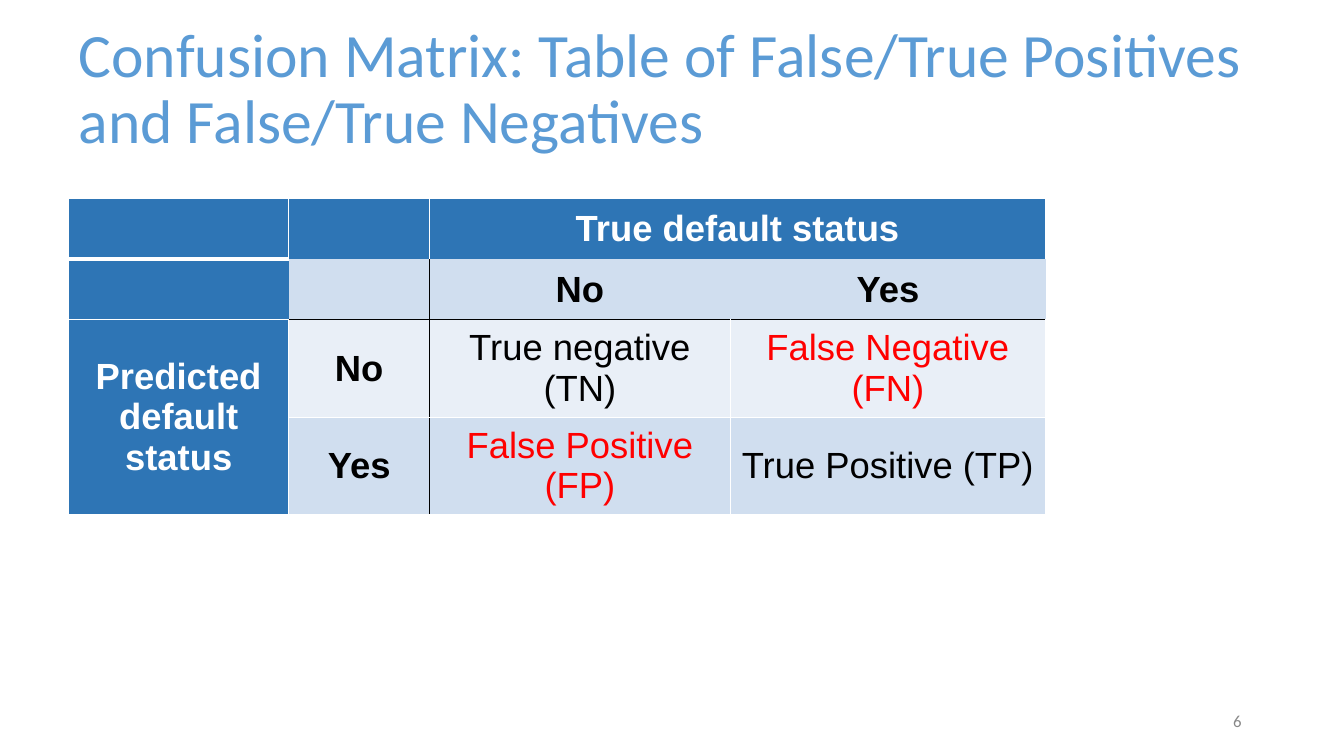
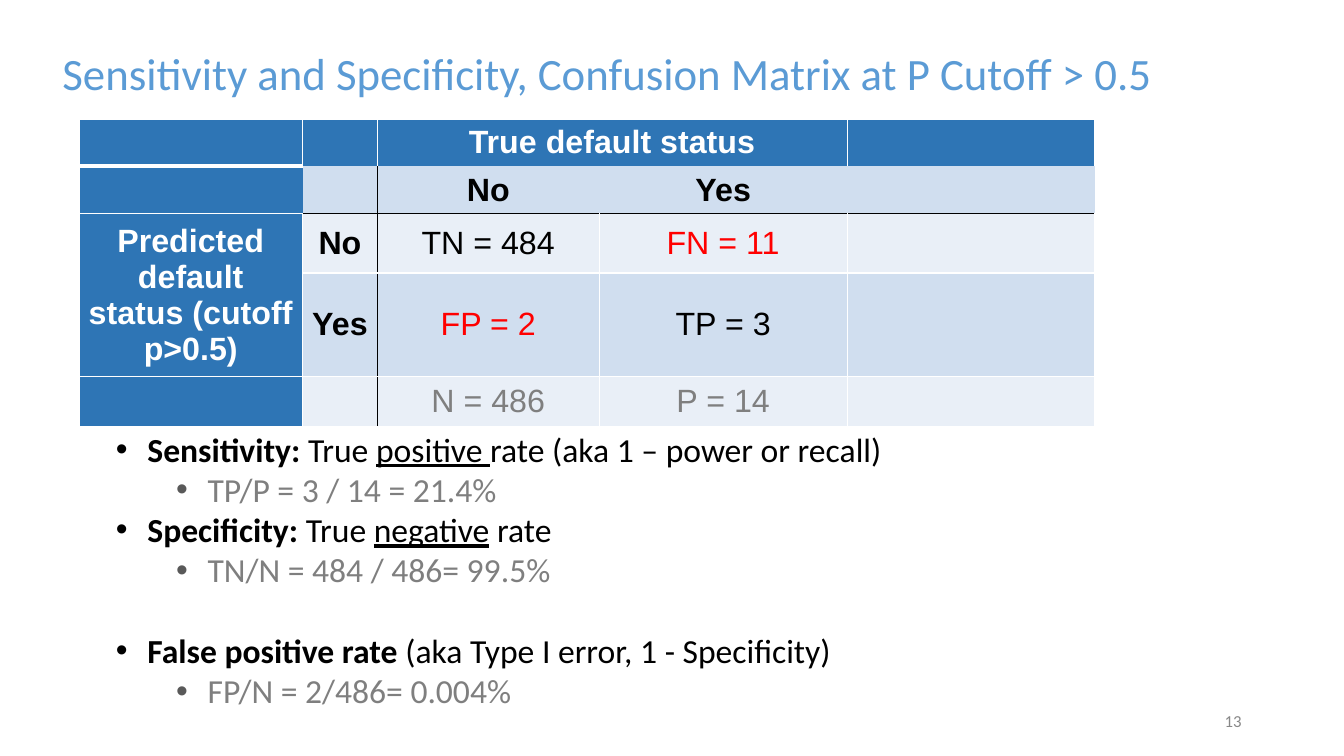
from lxml import etree
from pptx import Presentation
from pptx.dml.color import RGBColor
from pptx.enum.text import MSO_ANCHOR as Anchor, MSO_AUTO_SIZE as Fit, PP_ALIGN as Align
from pptx.oxml.ns import qn
from pptx.util import Pt

BLUE, HEAD, BANDS = "5B9BD5", "2E75B5", ("E9EFF7", "D0DEEF")
WHITE, BLACK, RED = "FFFFFF", "000000", "FF0000"
GRAY, DARK_GRAY, NUMBER_GRAY = "7F7F7F", "595959", "888888"
TEXT_FONT, TABLE_FONT = "Calibri", "Arial"
TITLE_ONLY = 5


def rgb(color):
    return RGBColor.from_string(color)


class Deck:
    """Shared style and the slide being built."""

    def __init__(self):
        self.prs = Presentation()
        self.prs.slide_width, self.prs.slide_height = Pt(960), Pt(540)
        self.s = None

    def style(self, r, size, color, font=TEXT_FONT, bold=False, underline=False):
        f = r.font
        f.size, f.name, f.bold, f.underline = Pt(size), font, bold, underline
        f.color.rgb = rgb(color)

    def place(self, sp, box):
        sp.left, sp.top, sp.width, sp.height = (Pt(v) for v in box)

    def slide(self, title, box, size, number):
        self.s = self.prs.slides.add_slide(self.prs.slide_layouts[TITLE_ONLY])
        sp = self.s.shapes.title
        self.place(sp, box)
        tf = sp.text_frame
        tf.text, tf.auto_size = title, Fit.NONE
        tf.vertical_anchor = Anchor.MIDDLE
        p = tf.paragraphs[0]
        p.alignment, p.line_spacing = Align.LEFT, 0.9
        self.style(p.runs[0], size, BLUE)
        self.page_number(number)

    def text_box(self, box):
        tf = self.s.shapes.add_textbox(*(Pt(v) for v in box)).text_frame
        tf.word_wrap = True
        return tf

    def page_number(self, number):
        tf = self.text_box((678, 500.5, 216, 28.8))
        tf.text, tf.vertical_anchor = str(number), Anchor.MIDDLE
        p = tf.paragraphs[0]
        p.alignment = Align.RIGHT
        self.style(p.runs[0], 12, NUMBER_GRAY)

    # Confusion matrix: header row and column, class names, then outcomes
    def matrix(self, left, top, cols, rows, texts, size, margins):
        table = self.s.shapes.add_table(len(rows), len(cols), Pt(left), Pt(top),
                                        Pt(sum(cols)), Pt(sum(rows))).table
        for col, width in zip(table.columns, cols):
            col.width = Pt(width)
        for row, height in zip(table.rows, rows):
            row.height = Pt(height)
        table.cell(0, 2).merge(table.cell(0, 3))
        table.cell(2, 0).merge(table.cell(3, 0))
        for i, line in enumerate(texts):
            for j, text in enumerate(line):
                cell = table.cell(i, j)
                if not cell.is_spanned:
                    self.matrix_cell(cell, i, j, text, size, margins)

    def matrix_cell(self, cell, i, j, text, size, margins):
        header = i == 0 or j == 0
        self.border(cell, "L", *self.column_edge(i, j))
        self.border(cell, "R", *self.column_edge(i, j + cell.span_width))
        self.border(cell, "T", *self.row_edge(i, j))
        self.border(cell, "B", *self.row_edge(i + cell.span_height, j))
        cell.fill.solid()
        cell.fill.fore_color.rgb = rgb(HEAD if header else BANDS[i % 2])
        cell.vertical_anchor = Anchor.MIDDLE
        cell.margin_left = cell.margin_right = Pt(margins[0])
        cell.margin_top = cell.margin_bottom = Pt(margins[1])
        if not text:
            return
        cell.text_frame.text = text
        p = cell.text_frame.paragraphs[0]
        p.alignment = Align.CENTER
        if header:
            color = WHITE
        elif text.startswith("F"):
            color = RED
        else:
            color = GRAY if i == 4 else BLACK
        self.style(p.runs[0], size, color, TABLE_FONT, header or i == 1 or j == 1)

    def column_edge(self, i, j):
        if j == 2 and i > 0:
            return BLACK, 1
        return (None, 0) if i == 1 and j > 0 else (WHITE, 1)

    def row_edge(self, i, j):
        if i == 1:
            return (None, 0) if j else (WHITE, 3)
        return (BLACK, 1) if i == 2 and j else (WHITE, 1)

    def border(self, cell, side, color, width):
        ln = etree.SubElement(cell._tc.get_or_add_tcPr(), qn("a:ln" + side), w=str(Pt(width)))
        if color:
            fill = etree.SubElement(ln, qn("a:solidFill"))
            etree.SubElement(fill, qn("a:srgbClr"), val=color)
        else:
            etree.SubElement(ln, qn("a:noFill"))

    # Each rate: runs of (text, format), its formula, and the space above
    def rates(self, box, items, size):
        tf = self.text_box(box)
        tf.margin_left = tf.margin_right = tf.margin_top = tf.margin_bottom = 0
        p = tf.paragraphs[0]
        for k, (runs, formula, space) in enumerate(items):
            if k:
                p = tf.add_paragraph()
            p.space_before = Pt(space)
            self.bullet(p, 22.5, BLACK)
            for text, look in runs:
                r = p.add_run()
                r.text = text
                self.style(r, size, BLACK, bold=look == "bold", underline=look == "underline")
            p = tf.add_paragraph()
            self.bullet(p, 65.5, DARK_GRAY)
            p.add_run().text = formula
            self.style(p.runs[0], size, GRAY)

    def bullet(self, p, indent, color):
        pPr = p._p.get_or_add_pPr()
        pPr.set("marL", str(Pt(indent)))
        pPr.set("indent", str(Pt(-22.5)))
        clr = etree.SubElement(pPr, qn("a:buClr"))
        etree.SubElement(clr, qn("a:srgbClr"), val=color)
        etree.SubElement(pPr, qn("a:buFont"), typeface="Arial")
        etree.SubElement(pPr, qn("a:buChar"), char="•")


def main():
    deck = Deck()

    # Meaning of the four outcomes
    deck.slide("Confusion Matrix: Table of False/True Positives and False/True Negatives",
               (49, 6.5, 856, 116.6), 44, 6)
    deck.matrix(49.2, 142, (157, 100.8, 214.6, 225.4), (43.2, 43.2, 65, 65), [
        ("", "", "True default status", ""),
        ("", "", "No", "Yes"),
        ("Predicted default status", "No", "True negative (TN)", "False Negative (FN)"),
        ("", "Yes", "False Positive (FP)", "True Positive (TP)"),
    ], 26, (7.2, 3.6))

    # Counts at one cutoff and the rates they give
    deck.slide("Sensitivity and Specificity, Confusion Matrix at P Cutoff > 0.5",
               (37.4, 0, 866, 108), 32, 13)
    deck.matrix(56.4, 85, (159.8, 53.3, 158.6, 177, 177), (33.8, 33.8, 42.4, 66.8, 36), [
        ("", "", "True default status", "", ""),
        ("", "", "No", "Yes", ""),
        ("Predicted default status (cutoff p>0.5)", "No", "TN = 484", "FN = 11", ""),
        ("", "Yes", "FP = 2", "TP = 3", ""),
        ("", "", "N = 486", "P = 14", ""),
    ], 23, (6, 3))
    deck.rates((82.8, 306, 700, 298), [
        ([("Sensitivity: ", "bold"), ("True ", ""), ("positive ", "underline"),
          ("rate (aka 1 – power or recall)", "")], "TP/P = 3 / 14 = 21.4%", 0),
        ([("Specificity: ", "bold"), ("True ", ""), ("negative", "underline"), (" rate", "")],
         "TN/N = 484 / 486= 99.5%", 0),
        ([("False positive rate ", "bold"), ("(aka Type I error, 1 - Specificity)", "")],
         "FP/N = 2/486= 0.004%", 28.8),
    ], 24)

    deck.prs.save("out.pptx")


if __name__ == "__main__":
    main()
